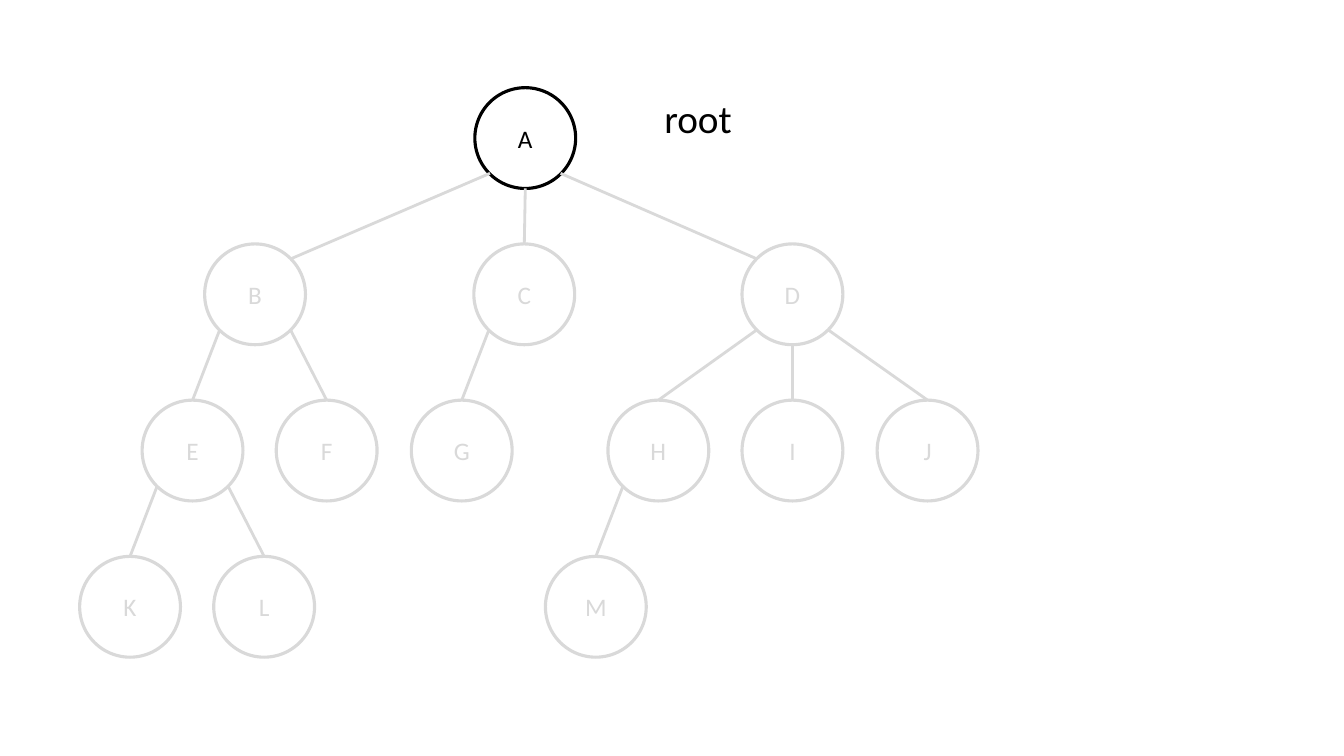
from dataclasses import dataclass

from lxml import etree
from pptx import Presentation
from pptx.dml.color import RGBColor
from pptx.enum.shapes import MSO_CONNECTOR, MSO_SHAPE
from pptx.enum.text import MSO_ANCHOR, MSO_AUTO_SIZE, PP_ALIGN
from pptx.oxml.ns import qn
from pptx.util import Inches, Pt

ELLIPSE = MSO_SHAPE.OVAL
STRAIGHT = MSO_CONNECTOR.STRAIGHT
MIDDLE = MSO_ANCHOR.MIDDLE
FIT_SHAPE = MSO_AUTO_SIZE.SHAPE_TO_FIT_TEXT
LEFT, CENTER = PP_ALIGN.LEFT, PP_ALIGN.CENTER


@dataclass(frozen=True)
class Theme:
    font: str = "Calibri"
    paper: RGBColor = RGBColor(0xFF, 0xFF, 0xFF)
    active: RGBColor = RGBColor(0x00, 0x00, 0x00)
    muted: RGBColor = RGBColor(0xD9, 0xD9, 0xD9)
    node_size: int = 18
    label_size: int = 28
    node_line: float = 2.25
    edge_line: float = 2


THEME = Theme()

# Tree geometry in inches, relative to the tree's box
DIAMETER = 1
LEVEL_STEP = 1.55
LEVELS = [
    {"K": 0, "L": 1.33, "M": 4.62},
    {"E": 0.62, "F": 1.95, "G": 3.29, "H": 5.24, "I": 6.57, "J": 7.91},
    {"B": 1.24, "C": 3.91, "D": 6.57},
    {"A": 3.92},
]

# Points on a circle as (horizontal, vertical) fractions of its diameter
NEAR, FAR = 0.15, 0.85
TOP, BOTTOM = (0.5, 0), (0.5, 1)
TOP_LEFT, TOP_RIGHT = (NEAR, NEAR), (FAR, NEAR)
BOTTOM_LEFT, BOTTOM_RIGHT = (NEAR, FAR), (FAR, FAR)

# Parent, point on the parent, child, point on the child
EDGES = [
    ("A", BOTTOM, "C", TOP),
    ("A", BOTTOM_RIGHT, "D", TOP_LEFT),
    ("A", BOTTOM_LEFT, "B", TOP_RIGHT),
    ("B", BOTTOM_LEFT, "E", TOP),
    ("B", BOTTOM_RIGHT, "F", TOP),
    ("E", BOTTOM_LEFT, "K", TOP),
    ("E", BOTTOM_RIGHT, "L", TOP),
    ("C", BOTTOM_LEFT, "G", TOP),
    ("D", BOTTOM_LEFT, "H", TOP),
    ("D", BOTTOM_RIGHT, "J", TOP),
    ("D", BOTTOM, "I", TOP),
    ("H", BOTTOM_LEFT, "M", TOP),
]


def write_text(shape, text, *, size, color, align=LEFT):
    paragraph = shape.text_frame.paragraphs[0]
    paragraph.alignment = align
    run = paragraph.add_run()
    run.text = text
    run.font.name = THEME.font
    run.font.size = Pt(size)
    run.font.color.rgb = color


def add_node(slide, name, left, top, color):
    shape = slide.shapes.add_shape(
        ELLIPSE, Inches(left), Inches(top), Inches(DIAMETER), Inches(DIAMETER))
    shape.shadow.inherit = False
    shape.fill.solid()
    shape.fill.fore_color.rgb = THEME.paper
    shape.line.color.rgb = color
    shape.line.width = Pt(THEME.node_line)
    shape.text_frame.vertical_anchor = MIDDLE
    write_text(shape, name, size=THEME.node_size, color=color, align=CENTER)


def add_edge(slide, start, end):
    points = [Inches(value) for value in (*start, *end)]
    connector = slide.shapes.add_connector(STRAIGHT, *points)
    connector.line.color.rgb = THEME.muted
    connector.line.width = Pt(THEME.edge_line)
    etree.SubElement(connector.element.spPr, qn("a:effectLst"))


def add_tree(slide, left, top, highlighted):
    # Nodes, from the deepest level up to the root
    corners = {}
    for index, nodes in enumerate(LEVELS):
        node_top = top + (len(LEVELS) - 1 - index) * LEVEL_STEP
        for name, offset in nodes.items():
            corners[name] = (left + offset, node_top)
            color = THEME.active if name == highlighted else THEME.muted
            add_node(slide, name, *corners[name], color)

    # Edges, drawn over the nodes
    def point_on(name, fractions):
        return [corner + fraction * DIAMETER
                for corner, fraction in zip(corners[name], fractions)]

    for parent, parent_point, child, child_point in EDGES:
        add_edge(slide, point_on(parent, parent_point), point_on(child, child_point))


def add_label(slide, text, left, top, width, height):
    box = slide.shapes.add_textbox(
        Inches(left), Inches(top), Inches(width), Inches(height))
    box.text_frame.word_wrap = False
    box.text_frame.auto_size = FIT_SHAPE
    write_text(box, text, size=THEME.label_size, color=THEME.active)


def main():
    presentation = Presentation()
    presentation.slide_width = Inches(13.33)
    presentation.slide_height = Inches(7.5)
    slide = presentation.slides.add_slide(presentation.slide_layouts[6])
    add_tree(slide, 0.79, 0.87, highlighted="A")
    add_label(slide, "root", 6.49, 0.89, 0.88, 0.57)
    presentation.save("out.pptx")


if __name__ == "__main__":
    main()
